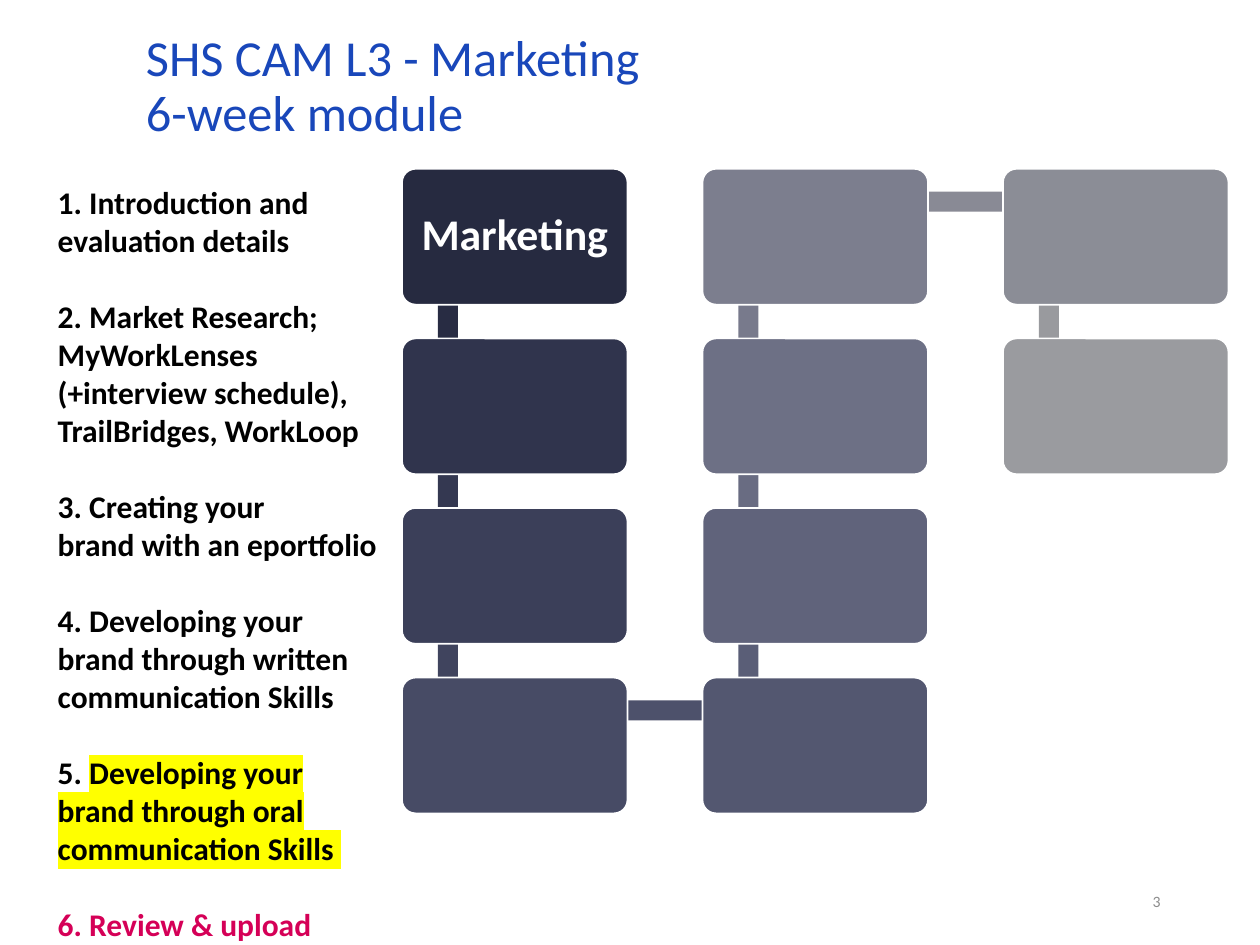
import pptx
import pptx.util
import pptx.dml.color
import pptx.enum.shapes
import pptx.enum.text
import pptx.oxml
import pptx.oxml.ns

Pt = pptx.util.Pt
KIND = pptx.enum.shapes.MSO_SHAPE
ALIGN = pptx.enum.text.PP_ALIGN
MIDDLE = pptx.enum.text.MSO_ANCHOR.MIDDLE


def color(code):
    return pptx.dml.color.RGBColor.from_string(code)


def write(para, text, size, code, bold=False):
    run = para.add_run()
    run.text = text
    font = run.font
    font.name, font.size, font.bold = "Calibri", Pt(size), bold
    font.color.rgb = color(code)
    return run


deck = pptx.Presentation()
deck.slide_width, deck.slide_height = Pt(720), Pt(540)
slide = deck.slides.add_slide(deck.slide_layouts[6])
shapes = slide.shapes

# Title
title = shapes.add_textbox(Pt(76.3), Pt(21.6), Pt(640), Pt(56.9)).text_frame
title.word_wrap = True
title.vertical_anchor = MIDDLE
para = title.paragraphs[0]
para.line_spacing = 0.9
write(para, "SHS CAM L3 - Marketing", 28.8, "1947BA")
para.add_line_break()
write(para, "6-week module", 28.8, "1947BA")

# Winding chain of boxes: column, row, box fill, fill of the bar to the next box
chain = [
    (0, 0, "262A40", "282C43"),
    (0, 1, "30344D", "343851"),
    (0, 2, "3B3F59", "40445E"),
    (0, 3, "474B65", "4D516B"),
    (1, 3, "535770", "5A5E77"),
    (1, 2, "60637B", "696C82"),
    (1, 1, "6D7085", "787A8C"),
    (1, 0, "7C7E8E", "898A95"),
    (2, 0, "8B8D96", "999A9E"),
    (2, 1, "9A9B9F", None),
]
left, top, wide, high = 229.7, 96.5, 128.9, 77.6
step_x, step_y, thick = 171.7, 96.9, 11.5

for index, (col, row, fill, link) in enumerate(chain):
    x, y = left + col * step_x, top + row * step_y

    # Bar to the next box, partly hidden behind both
    if link:
        after = chain[index + 1]
        if after[0] == col:
            upper = top + min(row, after[1]) * step_y
            area = (x + 20.5, upper + 19.8, thick, 95.8)
        else:
            area = (x + 26.6, y + 13, thick + 159.1, thick)
        bar = shapes.add_shape(KIND.RECTANGLE, *map(Pt, area))
        bar.shadow.inherit = False
        bar.fill.solid()
        bar.fill.fore_color.rgb = color(link)
        bar.line.fill.background()

    # Box
    box = shapes.add_shape(KIND.ROUNDED_RECTANGLE, Pt(x), Pt(y), Pt(wide), Pt(high))
    box.adjustments[0] = 0.1
    box.shadow.inherit = False
    box.fill.solid()
    box.fill.fore_color.rgb = color(fill)
    box.line.color.rgb = color("FFFFFF")
    box.line.width = Pt(1)
    if index == 0:
        frame = box.text_frame
        frame.vertical_anchor = MIDDLE
        para = frame.paragraphs[0]
        para.alignment = ALIGN.CENTER
        para.line_spacing = 0.9
        write(para, "Marketing", 25, "FFFFFF", True)

# Week list: space before, then runs of text, colour and highlight
weeks = [
    (0, [("1. Introduction and evaluation details", "000000", None)]),
    (22, [("2. Market Research; MyWorkLenses (+interview schedule), "
           "TrailBridges, WorkLoop", "000000", None)]),
    (22, [("3. Creating your", "000000", None)]),
    (0, [("brand with an eportfolio", "000000", None)]),
    (22, [("4. Developing your brand through written communication Skills",
           "000000", None)]),
    (22, [("5. ", "000000", None),
          ("Developing your brand through oral communication Skills ",
           "000000", "FFFF00")]),
    (22, [("6. Review & upload", "D50057", None)]),
]
frame = shapes.add_textbox(Pt(25.9), Pt(101.2), Pt(198), Pt(438)).text_frame
frame.word_wrap = True
for index, (gap, parts) in enumerate(weeks):
    para = frame.add_paragraph() if index else frame.paragraphs[0]
    para.space_before = Pt(gap)
    for text, code, mark in parts:
        run = write(para, text, 18, code, True)
        if mark:
            space = pptx.oxml.ns.nsdecls("a")
            glow = pptx.oxml.parse_xml(
                f'<a:highlight {space}><a:srgbClr val="{mark}"/></a:highlight>')
            props = run.font._element
            props.find(pptx.oxml.ns.qn("a:solidFill")).addnext(glow)

# Page number
page = shapes.add_textbox(Pt(508.3), Pt(500.4), Pt(162), Pt(28.8)).text_frame
page.word_wrap = True
page.vertical_anchor = MIDDLE
para = page.paragraphs[0]
para.alignment = ALIGN.RIGHT
write(para, "3", 9, "8C8C8C")

deck.save("out.pptx")
